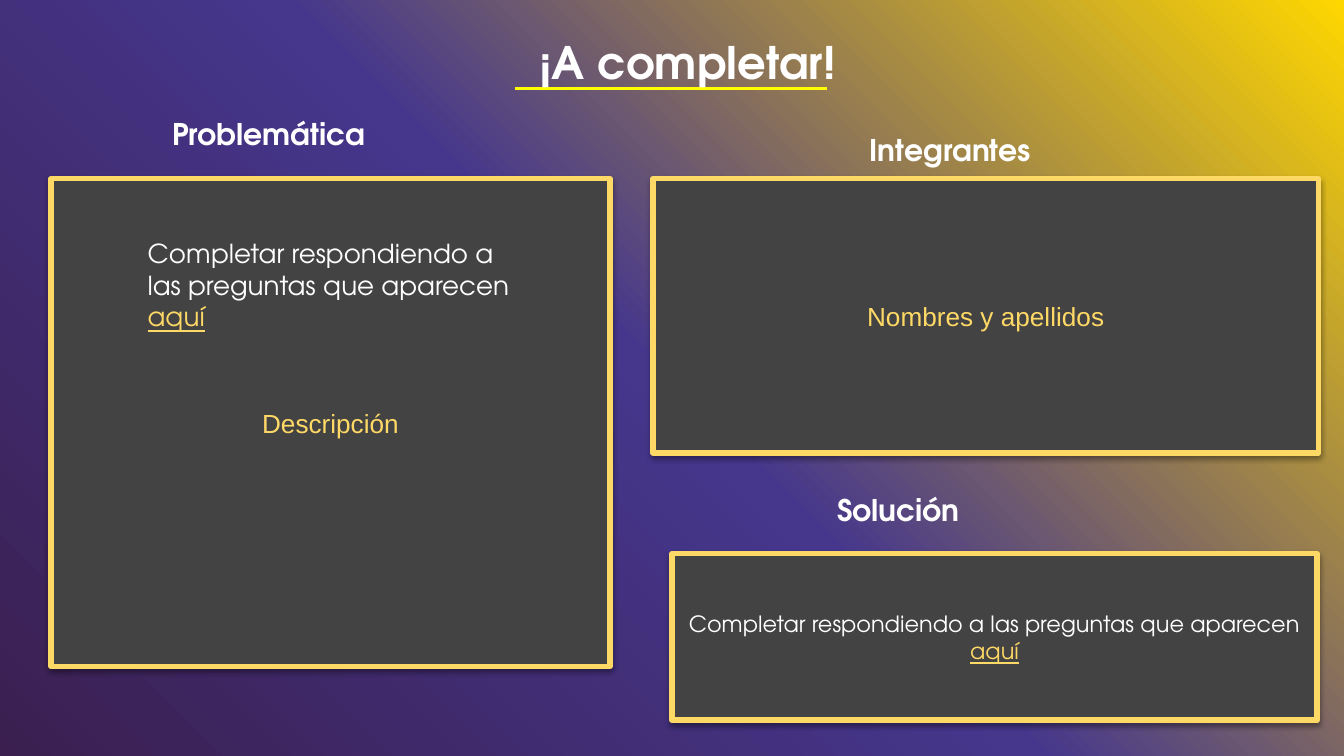
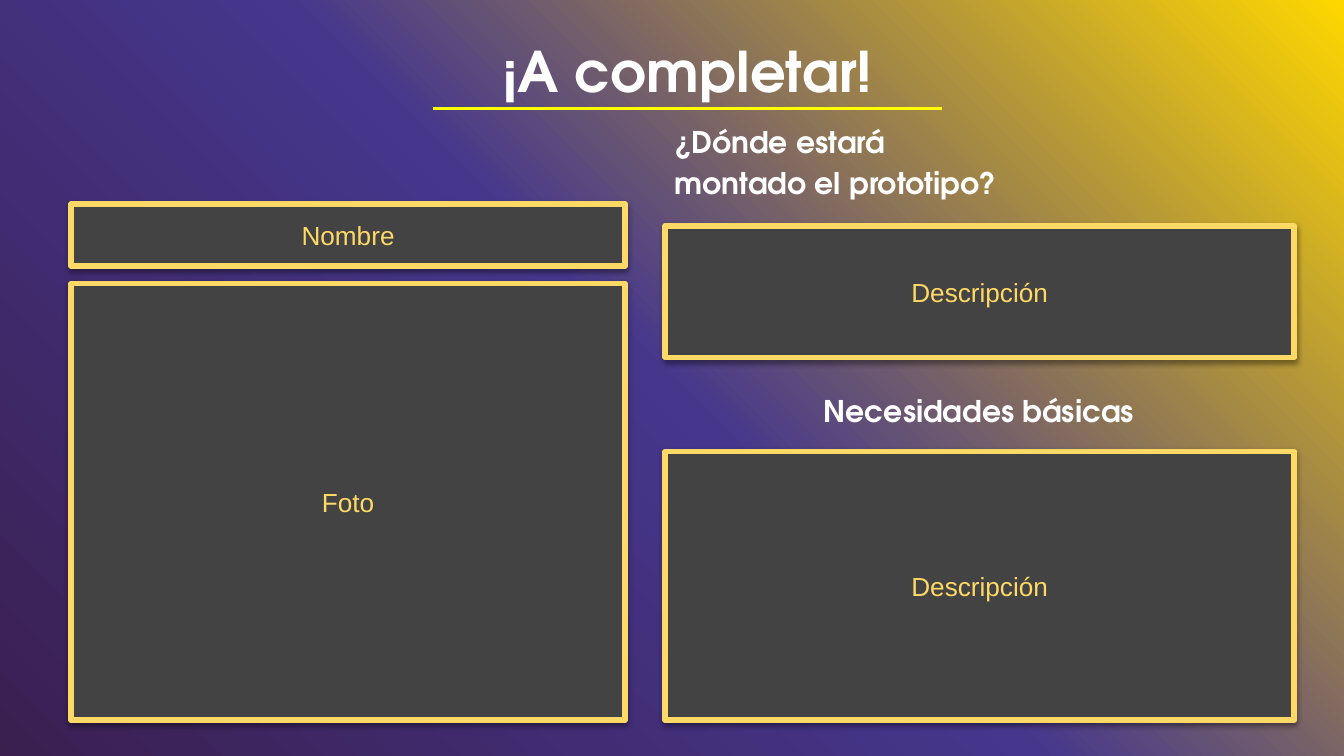
from dataclasses import dataclass

from lxml.etree import SubElement
from pptx import Presentation
from pptx.dml.color import RGBColor
from pptx.enum.shapes import MSO_CONNECTOR, MSO_SHAPE
from pptx.enum.text import MSO_ANCHOR, MSO_AUTO_SIZE, PP_ALIGN
from pptx.oxml import parse_xml
from pptx.oxml.ns import nsdecls, qn
from pptx.util import Inches, Pt


@dataclass(frozen=True)
class Theme:
    """Colours, fonts and type sizes shared by the slides."""
    paper: str = "F3F3F3"
    panel: str = "434343"
    gold: str = "FFD966"
    rule: str = "FFFF00"
    white: str = "FFFFFF"
    gradient: tuple = ((0, "3A1F4F"), (50, "46378D"), (100, "FED700"))
    display: str = "TeX Gyre Adventor"
    body: str = "Arial"
    heading_size: int = 16
    body_size: int = 14
    small_size: int = 12


@dataclass(frozen=True)
class Box:
    """An area on a grid of 100 square columns across the slide."""
    col: float
    row: float
    cols: float
    rows: float

    def area(self, col, row, cols, rows):
        """Return an area placed relative to this one."""
        return Box(self.col + col, self.row + row, cols, rows)

    def below(self, row):
        """Return what is left of this area from a row down."""
        return self.area(0, row, self.cols, self.rows - row)

    def frame(self):
        """Return left, top, width and height as lengths."""
        return [Inches(n / 10) for n in (self.col, self.row, self.cols, self.rows)]


@dataclass(frozen=True)
class Style:
    """The look of one run of text."""
    size: int
    font: str
    color: str
    bold: bool = False
    underline: bool = False


THEME = Theme()
SLIDE = Box(0, 0, 100, 56.25)
HEADING = Style(THEME.heading_size, THEME.display, THEME.white, bold=True)
FIELD = Style(THEME.body_size, THEME.body, THEME.gold)


def rgb(color):
    """Turn a hex string into a colour."""
    return RGBColor.from_string(color)


def prompt(size):
    """Return the runs that ask the reader to complete a panel."""
    return [("Completar respondiendo a las preguntas que aparecen ",
             Style(size, THEME.display, THEME.white)),
            ("aquí", Style(size, THEME.display, THEME.gold, underline=True))]


def write(paragraph, runs):
    """Fill a paragraph with styled runs."""
    for words, style in runs:
        run = paragraph.add_run()
        run.text = words
        run.font.size = Pt(style.size)
        run.font.name = style.font
        run.font.bold = style.bold
        run.font.underline = style.underline
        run.font.color.rgb = rgb(style.color)


def set_insets(frame, across, down):
    """Set the inner margins of a text frame in inches."""
    frame.margin_left = frame.margin_right = Inches(across)
    frame.margin_top = frame.margin_bottom = Inches(down)


def caption(slide, box, runs, align=PP_ALIGN.LEFT, spaced=True):
    """Add a text box, with open line spacing if spaced."""
    frame = slide.shapes.add_textbox(*box.frame()).text_frame
    frame.word_wrap = True
    frame.auto_size = MSO_AUTO_SIZE.SHAPE_TO_FIT_TEXT
    inset = 0.07 if spaced else 0.1
    set_insets(frame, inset, inset)
    paragraph = frame.paragraphs[0]
    paragraph.alignment = align
    if spaced:
        paragraph.line_spacing = 1.15
        paragraph.space_after = Pt(9)
    write(paragraph, runs)


def panel(slide, box, runs):
    """Add a dark panel with a gold border and a soft shadow."""
    shape = slide.shapes.add_shape(MSO_SHAPE.RECTANGLE, *box.frame())
    shape.fill.solid()
    shape.fill.fore_color.rgb = rgb(THEME.panel)
    shape.line.color.rgb = rgb(THEME.gold)
    shape.line.width = Pt(3)
    shape.shadow.inherit = False
    effects = shape._element.spPr.find(qn("a:effectLst"))
    shadow = SubElement(effects, qn("a:outerShdw"), blurRad=str(Pt(3.1)),
                        dist=str(Pt(1.6)), dir="5400000", rotWithShape="0")
    black = SubElement(shadow, qn("a:srgbClr"), val="000000")
    SubElement(black, qn("a:alpha"), val="38000")
    frame = shape.text_frame
    frame.word_wrap = True
    frame.vertical_anchor = MSO_ANCHOR.MIDDLE
    set_insets(frame, 0.1, 0.05)
    frame.paragraphs[0].alignment = PP_ALIGN.CENTER
    write(frame.paragraphs[0], runs)


def backdrop(slide, box):
    """Cover the slide with the diagonal gradient."""
    slide.background.fill.solid()
    slide.background.fill.fore_color.rgb = rgb(THEME.paper)
    cover = box.area(-0.2, 0, box.cols + 0.2, 57.3)
    shape = slide.shapes.add_shape(MSO_SHAPE.RECTANGLE, *cover.frame())
    shape.rotation = 180
    shape.shadow.inherit = False
    shape.line.fill.background()
    stops = "".join(f'<a:gs pos="{share * 1000}"><a:srgbClr val="{color}"/></a:gs>'
                    for share, color in THEME.gradient)
    gradient = parse_xml(f'<a:gradFill {nsdecls("a")} rotWithShape="1"><a:gsLst>{stops}'
                         '</a:gsLst><a:lin ang="8100000" scaled="0"/></a:gradFill>')
    shape._element.spPr.find(qn("a:prstGeom")).addnext(gradient)


def title(slide, box, size, rule):
    """Add the slide title and the yellow rule beneath it."""
    left, top, width, _ = rule.frame()
    line = slide.shapes.add_connector(MSO_CONNECTOR.STRAIGHT, left, top, left + width, top)
    line.line.color.rgb = rgb(THEME.rule)
    line.line.width = Pt(1.5)
    SubElement(line._element.spPr, qn("a:effectLst"))
    style = Style(size, THEME.display, THEME.white, bold=True)
    caption(slide, box, [("¡A completar!", style)], PP_ALIGN.CENTER)


def section(slide, box, heading, place, panel_row, runs, spaced=True):
    """Add a heading at a column and size, with a panel filling the rest."""
    col, cols, rows = place
    panel(slide, box.below(panel_row), runs)
    caption(slide, box.area(col, 0, cols, rows), [(heading, HEADING)], spaced=spaced)


def profile(slide, box):
    """Stack the name panel over the photo panel."""
    panel(slide, box.area(0, 0, box.cols, 4.6), [("Nombre", FIELD)])
    panel(slide, box.below(5.9), [("Foto", FIELD)])


def project_slide(slide, box):
    """Build the slide on the problem, the team and the solution."""
    backdrop(slide, box)
    title(slide, box.area(13.2, 1.3, 75.9, 5.6), 24, box.area(38.3, 6.6, 23.2, 0))
    problem = box.area(3.8, 7.5, 41.6, 42.1)
    section(slide, problem, "Problemática", (8.3, 30.2, 4.2), 5.8,
            [("Descripción", FIELD)])
    caption(slide, problem.area(6.2, 9.2, 29.2, 6.7), prompt(THEME.body_size), spaced=False)
    section(slide, box.area(48.6, 8.7, 49.5, 25), "Integrantes", (15.4, 21.6, 4.2), 4.6,
            [("Nombres y apellidos", FIELD)])
    section(slide, box.area(50, 35.6, 48, 18), "Solución", (11.3, 24, 4.7), 5.6,
            prompt(THEME.small_size), spaced=False)


def prototype_slide(slide, box):
    """Build the slide on the prototype, its place and its needs."""
    backdrop(slide, box)
    title(slide, box.area(13.2, 1.3, 75.9, 8.6), 30, box.area(32.2, 8.1, 37.9, 0))
    profile(slide, box.area(5.3, 15.2, 41.2, 38.4))
    section(slide, box.area(49.5, 8.1, 46.8, 18.5), "¿Dónde estará montado el prototipo?",
            (0, 27.1, 7.3), 8.7, [("Descripción", FIELD)])
    section(slide, box.area(49.5, 28.1, 46.8, 25.5), "Necesidades básicas",
            (11.1, 32.5, 5.9), 5.5, [("Descripción", FIELD)])


def main():
    """Build and save the presentation."""
    deck = Presentation()
    _, _, deck.slide_width, deck.slide_height = SLIDE.frame()
    for build in (project_slide, prototype_slide):
        build(deck.slides.add_slide(deck.slide_layouts[6]), SLIDE)
    deck.save("out.pptx")


if __name__ == "__main__":
    main()
